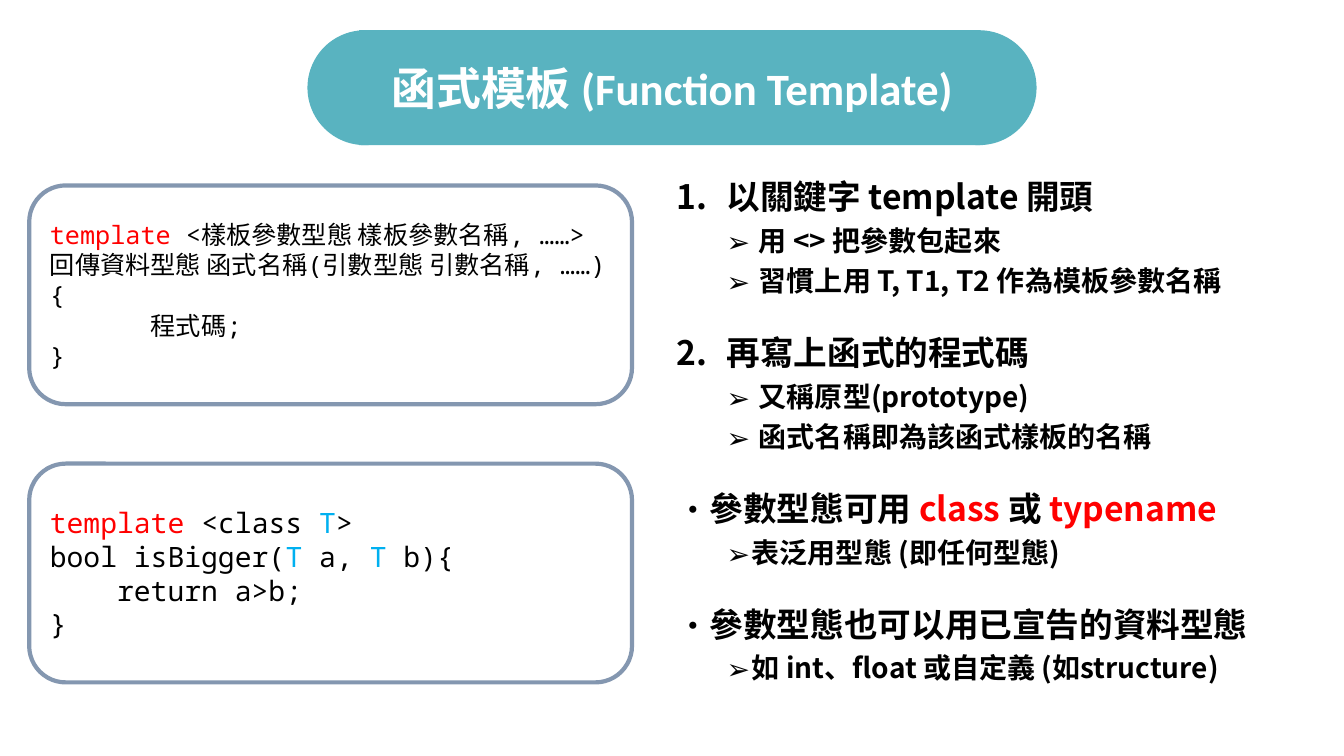
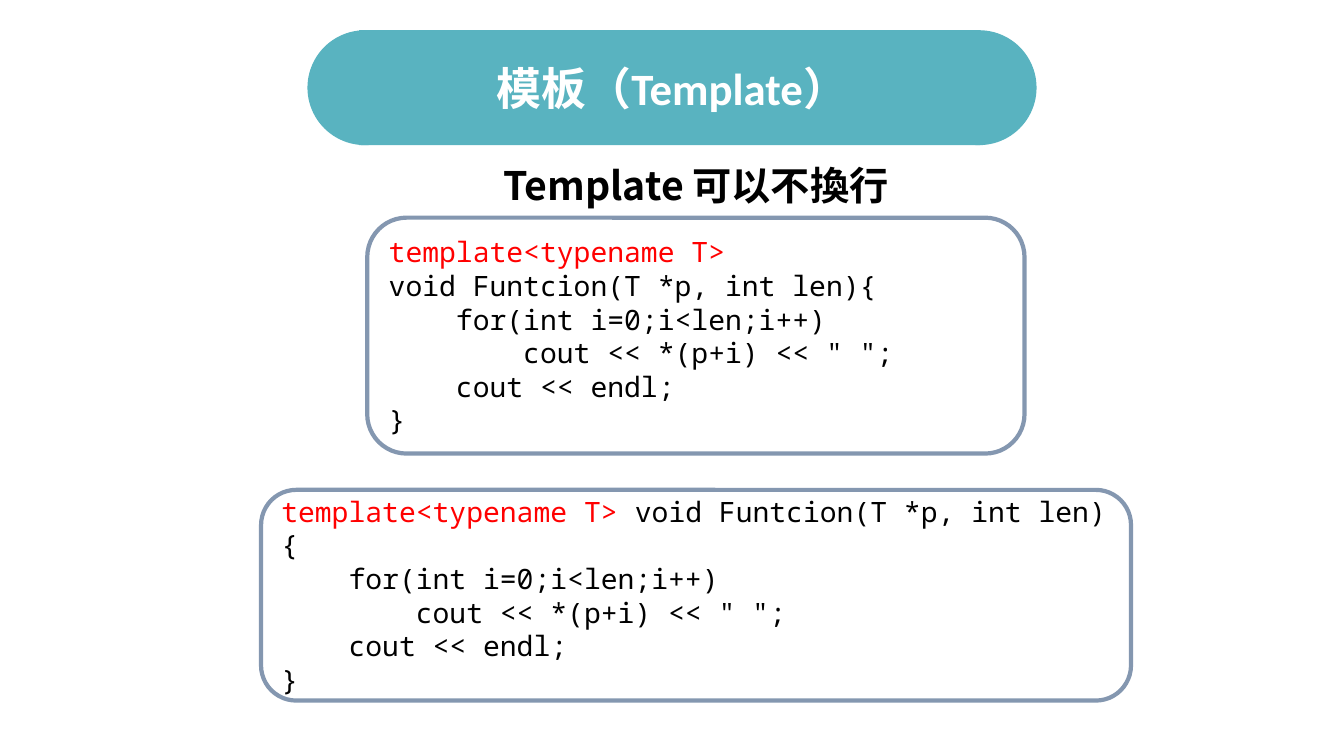
from dataclasses import dataclass

from lxml.etree import SubElement
from pptx import Presentation
from pptx.dml.color import RGBColor
from pptx.enum.shapes import MSO_SHAPE
from pptx.enum.text import MSO_ANCHOR, PP_ALIGN
from pptx.oxml.ns import qn
from pptx.util import Inches, Pt


@dataclass(frozen=True)
class Theme:
    """Colours, fonts and type sizes shared by the slides."""
    teal: str = "59B3C0"
    edge: str = "8497B0"
    white: str = "FFFFFF"
    black: str = "000000"
    red: str = "FF0000"
    blue: str = "00B0F0"
    head: str = "Calibri"
    body: str = "Noto Sans CJK TC"
    mono: str = "Noto Sans Mono"
    title: int = 32
    lead: int = 28
    point: int = 24
    sub: int = 20
    code: int = 20
    small: int = 18


T = Theme()
COLS, ROWS = 40, 30
WIDE, HIGH = Inches(13.33), Inches(7.5)
BAND = (9.15, 1.2, 21.7, 4.56)
ROUND = 3.42

SYNTAX = [
    [("template ", T.red), "<樣板參數型態 樣板參數名稱, ……>"],
    ["回傳資料型態 函式名稱(引數型態 引數名稱, ……)"],
    ["{"],
    ["\t程式碼;"],
    ["}"],
]
SAMPLE = [
    [("template", T.red), " <class ", ("T", T.blue), ">"],
    ["bool isBigger(", ("T", T.blue), " a, ", ("T", T.blue), " b){"],
    ["    return a>b;"],
    ["}"],
]
OPEN = "void Funtcion(T *p, int len){"
LOOP = [
    ["    for(int i=0;i<len;i++)"],
    ['        cout << *(p+i) << " ";'],
    ["    cout << endl;"],
    ["}"],
]
SPLIT = [[("template<typename T>", T.red)], [OPEN], *LOOP]
JOINED = [[("template<typename T> ", T.red), OPEN], *LOOP]

NOTES = [
    ("num", ["以關鍵字 template 開頭"]),
    ("wide", ["用 <> 把參數包起來"]),
    ("wide", ["習慣上用 T, T1, T2 作為模板參數名稱"]),
    ("num", ["再寫上函式的程式碼"]),
    ("wide", ["又稱原型(prototype)"]),
    ("wide", ["函式名稱即為該函式樣板的名稱"]),
    ("dot", ["參數型態可用 ", ("class ", T.red), "或 ", ("typename", T.red)]),
    ("sub", ["表泛用型態 (即任何型態)"]),
    ("dot", ["參數型態也可以用已宣告的資料型態"]),
    ("sub", ["如 int、float 或自定義 (如structure)"]),
]
MARKS = {
    "num": (0, 0.5, 0.5, "buAutoNum", {"type": "arabicPeriod"}),
    "dot": (0, 0.25, 0.25, "buChar", {"char": "•"}),
    "sub": (1, 0.75, 0.25, "buChar", {"char": "➢"}),
    "wide": (1, 0.82, 0.32, "buChar", {"char": "➢"}),
}


def place(box):
    """Turn columns and rows of the grid into slide lengths."""
    x, y, w, h = box
    return (int(x * WIDE / COLS), int(y * HIGH / ROWS),
            int(w * WIDE / COLS), int(h * HIGH / ROWS))


def tint(text):
    """Return the colour of a hex code."""
    return RGBColor.from_string(text)


def write(para, parts, face, size, color=T.black, bold=False):
    """Fill a paragraph with runs and set its font."""
    font = para.font
    font.name, font.size, font.bold = face, Pt(size), bold
    font.color.rgb = tint(color)
    latin = para._p.pPr.find(qn("a:defRPr")).find(qn("a:latin"))
    asian = SubElement(latin.getparent(), qn("a:ea"), typeface=T.body)
    latin.addnext(asian)
    for part in parts:
        run = para.add_run()
        if isinstance(part, tuple):
            run.text, shade = part
            run.font.color.rgb = tint(shade)
        else:
            run.text = part


def lines(frame, items):
    """Yield a paragraph of the frame for each item."""
    for i, item in enumerate(items):
        yield (frame.add_paragraph() if i else frame.paragraphs[0]), item


def panel(slide, kind, box, fill, edge=None):
    """Add a filled shape, with a frame if it has an edge colour."""
    shape = slide.shapes.add_shape(kind, *place(box))
    shape.shadow.inherit = False
    shape.fill.solid()
    shape.fill.fore_color.rgb = tint(fill)
    if edge:
        shape.line.color.rgb = tint(edge)
        shape.line.width = Pt(3)
    else:
        shape.line.fill.background()
    return shape


def label(slide, box, text, face, size, color=T.black):
    """Add a centred line of bold text."""
    frame = slide.shapes.add_textbox(*place(box)).text_frame
    frame.word_wrap = True
    frame.vertical_anchor = MSO_ANCHOR.MIDDLE
    para = frame.paragraphs[0]
    para.alignment = PP_ALIGN.CENTER
    write(para, [text], face, size, color, True)


def banner(slide, box, text):
    """Add the title band with its round ends."""
    x, y, w, h = box
    for left in (x, x + w - ROUND):
        panel(slide, MSO_SHAPE.OVAL, (left, y, ROUND, h), T.teal)
    core = (x + ROUND * 0.45, y, w - ROUND * 0.94, h)
    panel(slide, MSO_SHAPE.RECTANGLE, core, T.teal)
    label(slide, (2.76, y, 34.5, h), text, T.head, T.title, T.white)


def code(slide, box, rows, size=T.code):
    """Add a framed code listing."""
    shape = panel(slide, MSO_SHAPE.ROUNDED_RECTANGLE, box, T.white, T.edge)
    frame = shape.text_frame
    frame.word_wrap = True
    frame.vertical_anchor = MSO_ANCHOR.MIDDLE
    for para, parts in lines(frame, rows):
        para.alignment = PP_ALIGN.LEFT
        stops = SubElement(para._p.get_or_add_pPr(), qn("a:tabLst"))
        SubElement(stops, qn("a:tab"), pos=str(Inches(1)), algn="l")
        write(para, parts, T.mono, size)


def notes(slide, box, items):
    """Add the two-level list."""
    frame = slide.shapes.add_textbox(*place(box)).text_frame
    frame.word_wrap = True
    for i, (para, (kind, parts)) in enumerate(lines(frame, items)):
        level, left, hang, tag, attrs = MARKS[kind]
        para.level = level
        para.line_spacing = Pt(24 if level else 43.5)
        para.space_before = Pt((5 if level else 10) if i else 0)
        props = para._p.get_or_add_pPr()
        props.set("marL", str(Inches(left)))
        props.set("indent", str(-Inches(hang)))
        SubElement(props, qn("a:buFont"), typeface=T.body)
        SubElement(props, qn("a:" + tag), attrs)
        write(para, parts, T.body, T.sub if level else T.point, bold=True)


def syntax(slide):
    """Build the slide with two listings beside a list."""
    banner(slide, BAND, "函式模板 (Function Template)")
    for top, rows, size in ((7.36, SYNTAX, T.small), (18.4, SAMPLE, T.code)):
        code(slide, (0.87, top, 17.94, 8.68), rows, size)
    notes(slide, (19.83, 5.96, 20.16, 22.9), NOTES)


def layout(slide):
    """Build the slide with two stacked listings."""
    banner(slide, BAND, "模板（Template）")
    code(slide, (10.93, 8.64, 19.56, 9.36), SPLIT)
    code(slide, (7.77, 19.44, 25.89, 8.36), JOINED)
    label(slide, (4.59, 6.12, 32.25, 2.44), "Template 可以不換行",
          T.body, T.lead)


def main():
    """Build and save the deck."""
    deck = Presentation()
    deck.slide_width, deck.slide_height = WIDE, HIGH
    for build in (syntax, layout):
        build(deck.slides.add_slide(deck.slide_layouts[6]))
    deck.save("out.pptx")


if __name__ == "__main__":
    main()
